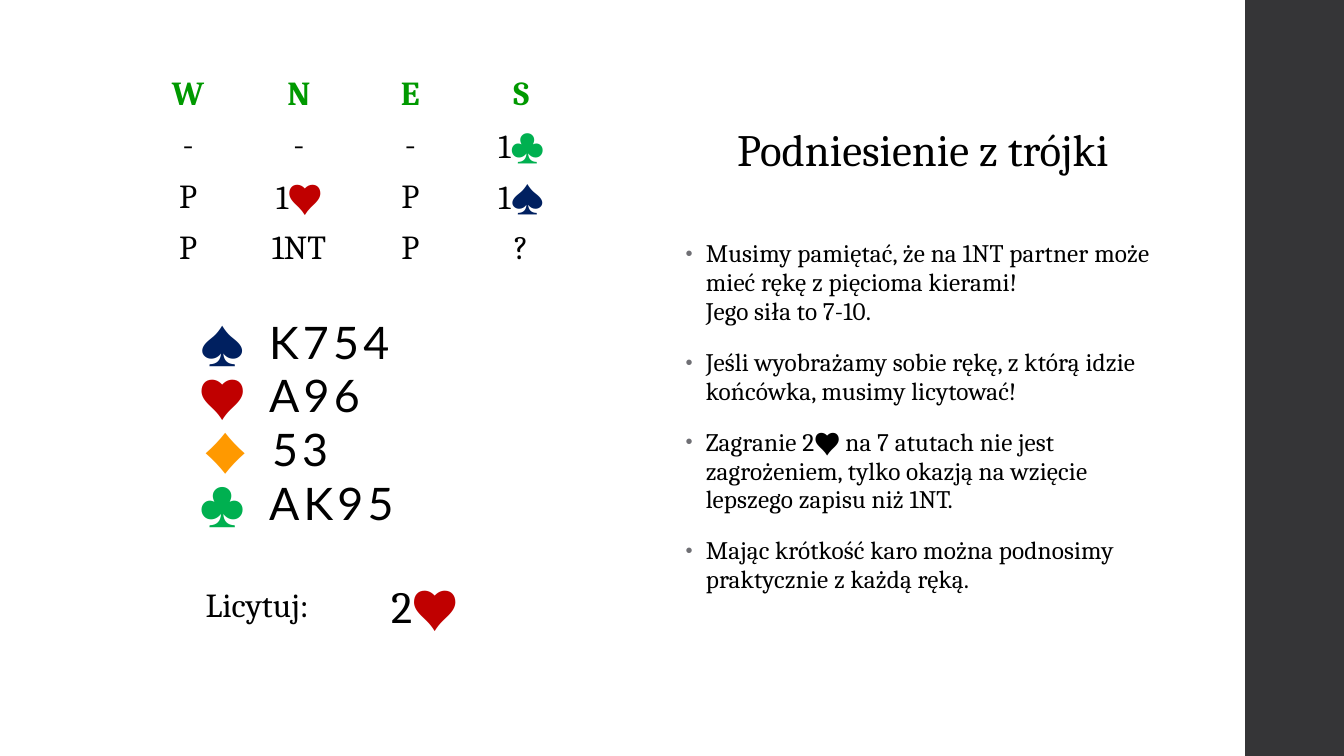
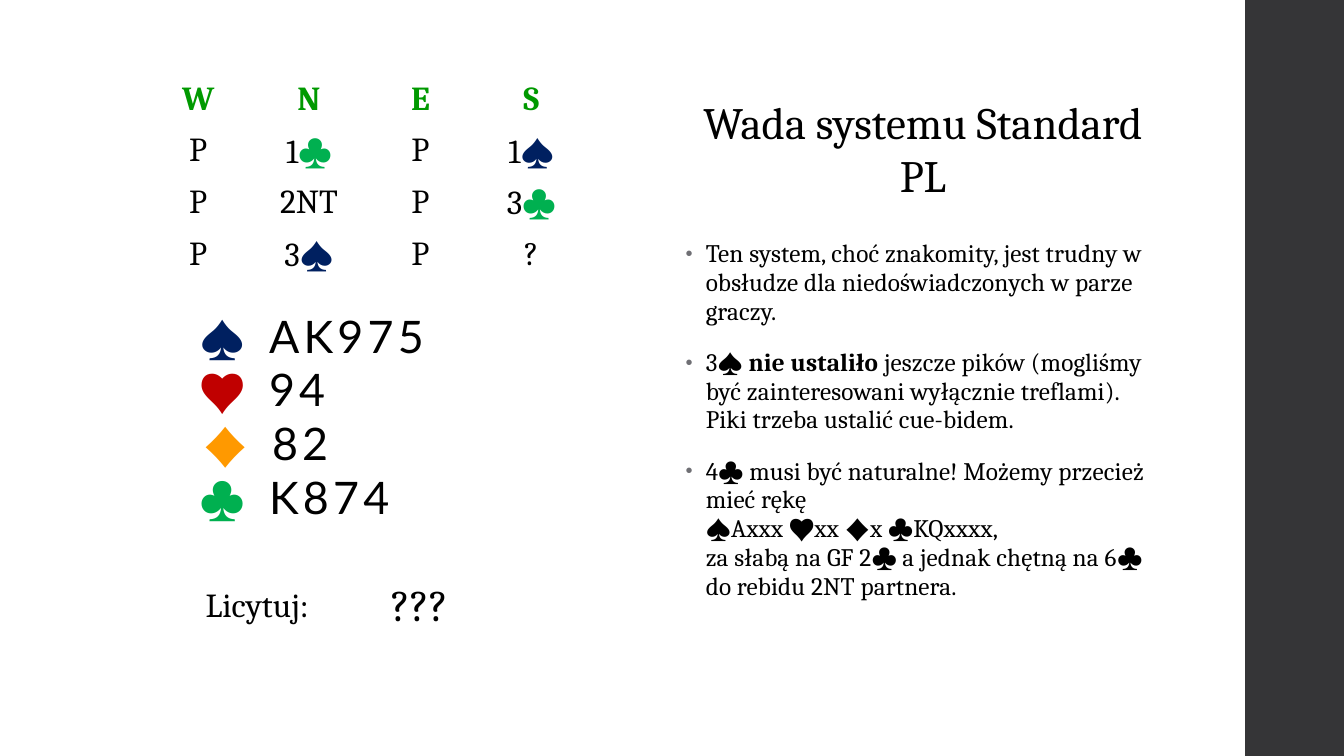
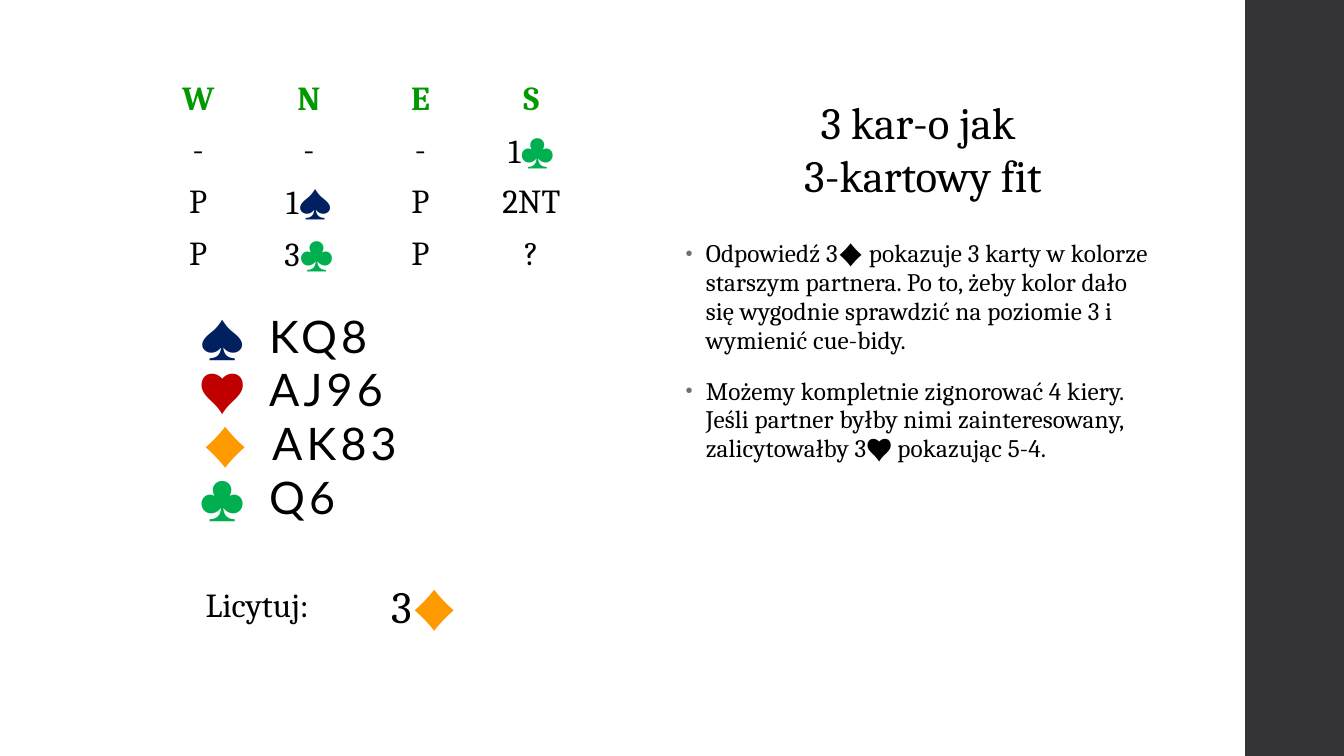
from lxml import etree
from pptx import Presentation
from pptx.dml.color import RGBColor
from pptx.enum.shapes import MSO_SHAPE
from pptx.enum.text import MSO_ANCHOR, MSO_AUTO_SIZE, PP_ALIGN
from pptx.oxml.ns import qn
from pptx.util import Inches, Pt

CENTER, LEFT = PP_ALIGN.CENTER, PP_ALIGN.LEFT
MIDDLE = MSO_ANCHOR.MIDDLE
NO_FIT, GROW = MSO_AUTO_SIZE.NONE, MSO_AUTO_SIZE.SHAPE_TO_FIT_TEXT
RECTANGLE = MSO_SHAPE.RECTANGLE

SERIF, SANS = "Cambria", "Lato"
BLACK, GREEN, BAND, BULLET = "000000", "009900", "353537", "6F6F74"
SUITS = {"♠": "002060", "♥": "C00000", "♦": "FF9900", "♣": "00B050"}
SEATS = ["W", "N", "E", "S"]
AUCTION_COLUMNS = [1.09, 1.11, 1.1, 1.1]
ANSWER_COLUMNS = [2.46, 1.58]
TITLE_MIDDLE = 1.47

DEALS = [
    {
        "title": "Podniesienie z trójki",
        "title_height": 0.64,
        "auction_at": (1.32, 0.69),
        "auction": [["-", "-", "-", "1♣"], ["P", "1♥", "P", "1♠"], ["P", "1NT", "P", "?"]],
        "hand_top": 3.07,
        "hand": ["K754", "A96", "53", "AK95"],
        "answer": "2♥",
        "comments": [
            "Musimy pamiętać, że na 1NT partner może mieć rękę z pięcioma kierami!\n"
            "Jego siła to 7-10.",
            "Jeśli wyobrażamy sobie rękę, z którą idzie końcówka, musimy licytować!",
            "Zagranie 2♥ na 7 atutach nie jest zagrożeniem, tylko okazją na wzięcie "
            "lepszego zapisu niż 1NT.",
            "Mając krótkość karo można podnosimy praktycznie z każdą ręką.",
        ],
    },
    {
        "title": "Wada systemu Standard PL",
        "title_height": 1.18,
        "auction_at": (1.42, 0.74),
        "auction": [["P", "1♣", "P", "1♠"], ["P", "2NT", "P", "3♣"], ["P", "3♠", "P", "?"]],
        "hand_top": 3.01,
        "hand": ["AK975", "94", "82", "K874"],
        "answer": "???",
        "comments": [
            "Ten system, choć znakomity, jest trudny w obsłudze dla niedoświadczonych "
            "w parze graczy.",
            "3♠ **nie ustaliło** jeszcze pików (mogliśmy być zainteresowani wyłącznie "
            "treflami). Piki trzeba ustalić cue-bidem.",
            "4♣ musi być naturalne! Możemy przecież mieć rękę\n♠Axxx ♥xx ♦x ♣KQxxxx,\n"
            "za słabą na GF 2♣ a jednak chętną na 6♣ do rebidu 2NT partnera.",
        ],
    },
    {
        "title": "3 kar-o jak \n3-kartowy fit",
        "title_height": 1.18,
        "auction_at": (1.42, 0.74),
        "auction": [["-", "-", "-", "1♣"], ["P", "1♠", "P", "2NT"], ["P", "3♣", "P", "?"]],
        "hand_top": 3.01,
        "hand": ["KQ8", "AJ96", "AK83", "Q6"],
        "answer": "3♦",
        "comments": [
            "Odpowiedź 3♦ pokazuje 3 karty w kolorze starszym partnera. Po to, żeby kolor "
            "dało się wygodnie sprawdzić na poziomie 3 i wymienić cue-bidy.",
            "Możemy kompletnie zignorować 4 kiery. Jeśli partner byłby nimi "
            "zainteresowany, zalicytowałby 3♥ pokazując 5-4.",
        ],
    },
]


def rgb(color):
    return RGBColor.from_string(color)


def format_run(run, size, font=SERIF, color=BLACK, bold=False, spacing=0):
    run.font.size = Pt(size)
    run.font.name = font
    run.font.color.rgb = rgb(color)
    run.font.bold = bold
    run.font._element.set("spc", str(round(spacing * 100)))


def place(shape, left, top, width, height):
    shape.left, shape.top = Inches(left), Inches(top)
    shape.width, shape.height = Inches(width), Inches(height)


def add_side_band(slide, master):
    """Draw the dark band and move it to the master, behind everything."""
    band = slide.shapes.add_shape(RECTANGLE, Inches(12.35), 0, Inches(0.98), Inches(7.5))
    band.shadow.inherit = False
    band.fill.solid()
    band.fill.fore_color.rgb = rgb(BAND)
    band.line.fill.background()
    band.element.nvSpPr.cNvPr.set("id", "100")
    master.shapes.element.insert(2, band.element)


def set_title(slide, text, height):
    title = slide.shapes.title
    place(title, 6.7, TITLE_MIDDLE - height / 2, 4.91, height)
    frame = title.text_frame
    frame.word_wrap = True
    frame.auto_size = GROW
    frame.vertical_anchor = MIDDLE
    heading = frame.paragraphs[0]
    heading.text = text
    heading.alignment = CENTER
    for run in heading.runs:
        format_run(run, 32)


def add_bullet(paragraph):
    properties = paragraph._p.get_or_add_pPr()
    properties.set("marL", str(Inches(0.2)))
    properties.set("indent", str(-Inches(0.2)))
    color = etree.SubElement(properties, qn("a:buClr"))
    etree.SubElement(color, qn("a:srgbClr"), val=BULLET)
    etree.SubElement(properties, qn("a:buSzPct"), val="80000")
    etree.SubElement(properties, qn("a:buFont"), typeface="Arial")
    etree.SubElement(properties, qn("a:buChar"), char="•")


def set_comments(slide, comments):
    """Fill the body; text between double asterisks is bold."""
    body = slide.placeholders[1]
    place(body, 6.7, 2.33, 4.9, 4.51)
    frame = body.text_frame
    frame.word_wrap = True
    frame.auto_size = NO_FIT
    for index, comment in enumerate(comments):
        paragraph = frame.add_paragraph() if index else frame.paragraphs[0]
        add_bullet(paragraph)
        paragraph.alignment = LEFT
        paragraph.line_spacing = 0.95
        paragraph.space_before = Pt(14 if index else 0)
        paragraph.space_after = Pt(2)
        plain, *rest = comment.split("**")
        paragraph.text = plain
        for run in paragraph.runs:
            format_run(run, 18, spacing=0.1)
        for position, part in enumerate(rest):
            run = paragraph.add_run()
            run.text = part
            format_run(run, 18, bold=position % 2 == 0, spacing=0.1)


def write_call(cell, call, size=24, color=BLACK, bold=False, align=CENTER):
    """Write a call in a cell, with a closing suit symbol in its own colour."""
    cell.fill.background()
    cell.vertical_anchor = MIDDLE
    paragraph = cell.text_frame.paragraphs[0]
    suit = call[-1] if call[-1] in SUITS else ""
    paragraph.text = call.removesuffix(suit) if suit else call
    paragraph.alignment = align
    format_run(paragraph.runs[0], size, color=color, bold=bold)
    if suit:
        symbol = paragraph.add_run()
        symbol.text = suit
        format_run(symbol, size, SANS, SUITS[suit], spacing=3)


def add_plain_table(slide, left, top, columns, row_count, row_height):
    table = slide.shapes.add_table(
        row_count, len(columns), Inches(left), Inches(top),
        Inches(sum(columns)), Inches(row_count * row_height)).table
    table.first_row = table.horz_banding = False
    for column, width in zip(table.columns, columns):
        column.width = Inches(width)
    return table


def add_auction(slide, left, top, rounds):
    table = add_plain_table(slide, left, top, AUCTION_COLUMNS, len(rounds) + 1, 0.5)
    for column, seat in enumerate(SEATS):
        write_call(table.cell(0, column), seat, color=GREEN, bold=True)
        for row, calls in enumerate(rounds, 1):
            write_call(table.cell(row, column), calls[column])


def add_answer(slide, call):
    table = add_plain_table(slide, 1.32, 5.7, ANSWER_COLUMNS, 1, 0.63)
    write_call(table.cell(0, 0), "Licytuj:")
    write_call(table.cell(0, 1), call, size=32, align=LEFT)


def add_tabs(paragraph, stops):
    tabs = etree.SubElement(paragraph._p.get_or_add_pPr(), qn("a:tabLst"))
    for position, align in stops:
        etree.SubElement(tabs, qn("a:tab"), pos=str(Inches(position)), algn=align)


def add_hand(slide, top, holdings):
    hand = slide.shapes.add_textbox(Inches(1.87), Inches(top), Inches(3.49), Inches(2.26))
    frame = hand.text_frame
    frame.word_wrap = True
    frame.auto_size = GROW
    for index, (suit, cards) in enumerate(zip(SUITS, holdings)):
        paragraph = frame.add_paragraph() if index else frame.paragraphs[0]
        add_tabs(paragraph, [(0.5, "r"), (0.7, "l")])
        if suit == "♦":
            paragraph._p.get_or_add_pPr().set("marL", str(Inches(0.03)))
        paragraph.text = f"\t{suit}\t"
        format_run(paragraph.runs[0], 32, SANS, SUITS[suit], spacing=3)
        ranks = paragraph.add_run()
        ranks.text = cards
        format_run(ranks, 32, SANS, spacing=3)


def main():
    presentation = Presentation()
    presentation.slide_width, presentation.slide_height = Inches(13.33), Inches(7.5)
    layout = presentation.slide_layouts[1]
    for index, deal in enumerate(DEALS):
        slide = presentation.slides.add_slide(layout)
        if index == 0:
            add_side_band(slide, presentation.slide_master)
        set_title(slide, deal["title"], deal["title_height"])
        set_comments(slide, deal["comments"])
        add_auction(slide, *deal["auction_at"], deal["auction"])
        add_hand(slide, deal["hand_top"], deal["hand"])
        add_answer(slide, deal["answer"])
    presentation.save("out.pptx")


if __name__ == "__main__":
    main()
